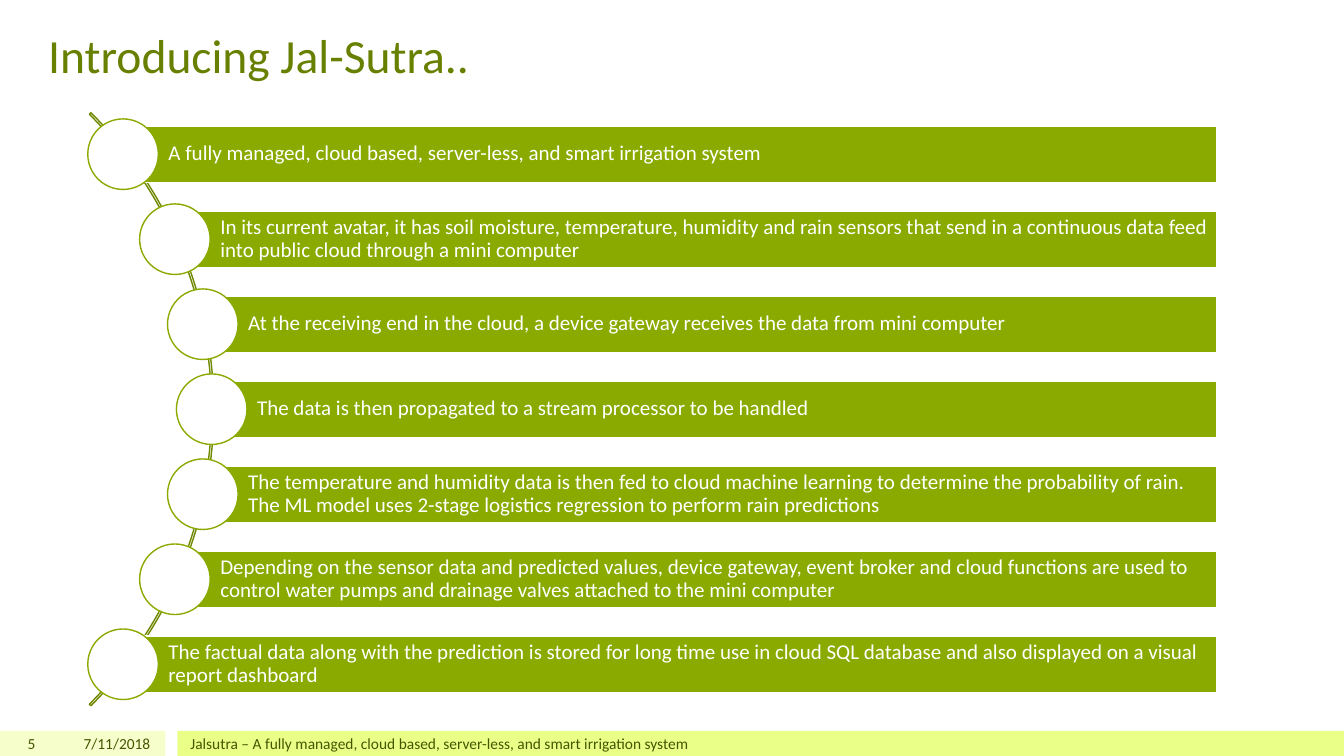
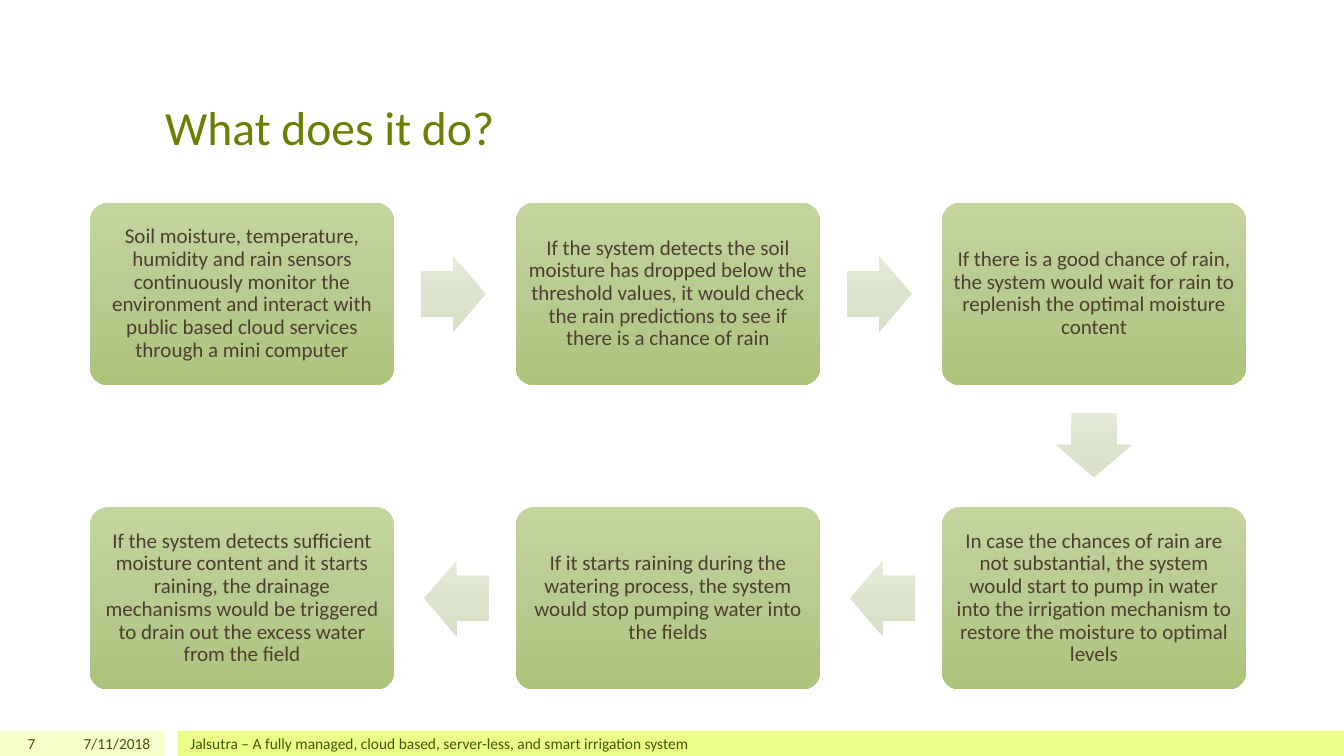
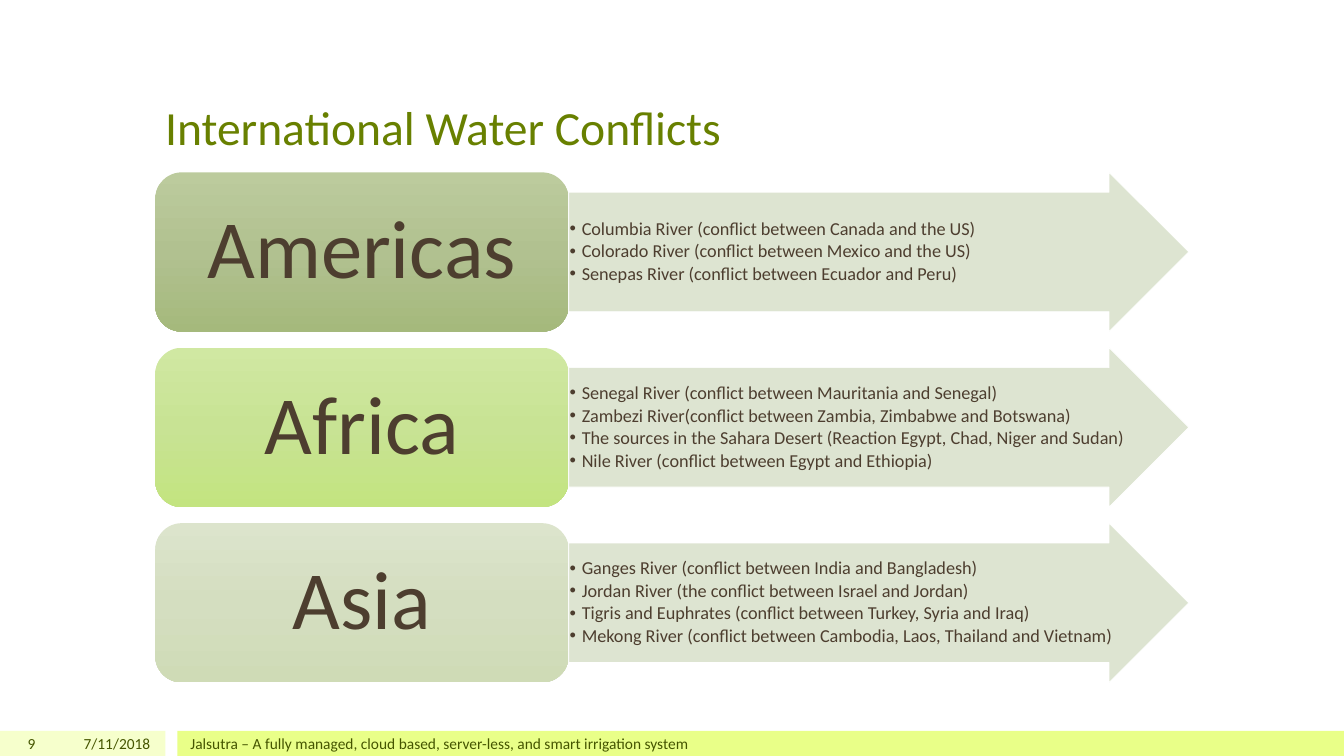
from dataclasses import dataclass
from itertools import pairwise
from math import atan2, degrees, sqrt
from typing import NamedTuple

from lxml.etree import SubElement
from pptx import Presentation
from pptx.dml.color import RGBColor
from pptx.enum.shapes import MSO_SHAPE as KIND
from pptx.enum.text import MSO_ANCHOR as ANCHOR, PP_ALIGN as ALIGN
from pptx.oxml.ns import qn
from pptx.util import Inches, Pt

WIDE, HIGH = 13.33, 7.5
HEX = {
    "white": "FFFFFF", "title": "688000", "foot": "455500", "text": "4D3E2F",
    "pale": "F6FFCC", "lime": "E9FF88", "green": "8BAA00", "arc": "6F8800",
    "arrow": "DAE2CC",
}
FADE = {
    "step": ("C3D59D", "B8CB90", "AEC47C"),
    "next": ("E5EBD9", "DCE4CE", "D8E1C7"),
    "olive": ("BCCB9D", "B1C190", "A5B97C"),
    "fresh": ("D0E8A2", "C8E394", "C3E480"),
    "sage": ("DCE4CC", "D4DEC0", "CFDBB6"),
}
FONT = {"name": "Calibri", "bold": False}
TIGHT = {"line_spacing": 0.9}
FOOTER = "Jalsutra – A fully managed, cloud based, server-less, and smart irrigation system"


class Box(NamedTuple):
    x: float
    y: float
    w: float
    h: float

    @property
    def mid(self) -> tuple[float, float]:
        return self.x + self.w / 2, self.y + self.h / 2


def around(x: float, y: float, w: float, h: float) -> Box:
    """Box centred on a point."""
    return Box(x - w / 2, y - h / 2, w, h)


@dataclass(frozen=True)
class Grid:
    first: Box
    dx: float = 0
    dy: float = 0

    def cell(self, col: int, row: int) -> Box:
        return self.first._replace(x=self.first.x + col * self.dx,
                                   y=self.first.y + row * self.dy)


@dataclass(frozen=True)
class Style:
    size: float
    color: str
    align: ALIGN = ALIGN.LEFT
    anchor: ANCHOR = ANCHOR.MIDDLE
    pad: tuple[float, float, float, float] = (0.1, 0.05, 0.1, 0.05)
    para: dict | None = None
    bullet: float = 0


@dataclass(frozen=True)
class Region:
    name: str
    fade: str
    rivers: tuple[str, ...]


TITLE = Style(34, "title", anchor=ANCHOR.BOTTOM)
NOTE = Style(11, "foot")
NUMBER = Style(11, "foot", ALIGN.RIGHT)
BAR = Style(15, "white", pad=(0.45, 0.04, 0.04, 0.04), para=TIGHT)
STEP = Style(15, "text", ALIGN.CENTER, pad=(0.06,) * 4, para=TIGHT)
NAME = Style(59, "text", ALIGN.CENTER, pad=(0.25, 0.12, 0.25, 0.12), para=TIGHT)
LIST = Style(13, "text", pad=(0.01,) * 4, para=TIGHT | {"space_after": Pt(2)}, bullet=0.12)

HEAD = Box(1.54, 0.3, 10.25, 1.29)
HIGH_HEAD = Box(0.38, 0.15, 10.25, 0.72)

FACTS = (
    "A fully managed, cloud based, server-less, and smart irrigation system",
    "In its current avatar, it has soil moisture, temperature, humidity and rain sensors that send in a continuous data feed into public cloud through a mini computer",
    "At the receiving end in the cloud, a device gateway receives the data from mini computer",
    "The data is then propagated to a stream processor to be handled",
    "The temperature and humidity data is then fed to cloud machine learning to determine the probability of rain. The ML model uses 2-stage logistics regression to perform rain predictions",
    "Depending on the sensor data and predicted values, device gateway, event broker and cloud functions are used to control water pumps and drainage valves attached to the mini computer",
    "The factual data along with the prediction is stored for long time use in cloud SQL database and also displayed on a visual report dashboard",
)
STEPS = (
    "Soil moisture, temperature, humidity and rain sensors continuously monitor the environment and interact with public based cloud services through a mini computer",
    "If the system detects the soil moisture has dropped below the threshold values, it would check the rain predictions to see if there is a chance of rain",
    "If there is a good chance of rain, the system would wait for rain to replenish the optimal moisture content",
    "In case the chances of rain are not substantial, the system would start to pump in water into the irrigation mechanism to restore the moisture to optimal levels",
    "If it starts raining during the watering process, the system would stop pumping water into the fields",
    "If the system detects sufficient moisture content and it starts raining, the drainage mechanisms would be triggered to drain out the excess water from the field",
)
REGIONS = (
    Region("Americas", "olive", (
        "Columbia River (conflict between Canada and the US)",
        "Colorado River (conflict between Mexico and the US)",
        "Senepas River (conflict between Ecuador and Peru)")),
    Region("Africa", "fresh", (
        "Senegal River (conflict between Mauritania and Senegal)",
        "Zambezi River(conflict between Zambia, Zimbabwe and Botswana)",
        "The sources in the Sahara Desert (Reaction Egypt, Chad, Niger and Sudan)",
        "Nile River (conflict between Egypt and Ethiopia)")),
    Region("Asia", "sage", (
        "Ganges River (conflict between India and Bangladesh)",
        "Jordan River (the conflict between Israel and Jordan)",
        "Tigris and Euphrates (conflict between Turkey, Syria and Iraq)",
        "Mekong River (conflict between Cambodia, Laos, Thailand and Vietnam)")),
)


def rgb(name: str) -> RGBColor:
    return RGBColor.from_string(HEX[name])


def write(shape, lines: tuple[str, ...], style: Style) -> None:
    frame = shape.text_frame
    frame.word_wrap = True
    frame.vertical_anchor = style.anchor
    for side, pad in zip(("left", "top", "right", "bottom"), style.pad):
        setattr(frame, f"margin_{side}", Inches(pad))
    for i, line in enumerate(lines):
        para = frame.paragraphs[0] if i == 0 else frame.add_paragraph()
        for key, value in ({"alignment": style.align} | (style.para or {})).items():
            setattr(para, key, value)
        if style.bullet:
            props = para._p.get_or_add_pPr()
            props.set("marL", str(Inches(style.bullet)))
            props.set("indent", str(-Inches(style.bullet)))
            SubElement(props, qn("a:buFont"), typeface="Arial")
            SubElement(props, qn("a:buChar"), char="•")
        run = para.add_run()
        run.text = line
        for key, value in (FONT | {"size": Pt(style.size)}).items():
            setattr(run.font, key, value)
        run.font.color.rgb = rgb(style.color)


def label(slide, box: Box, text: str, style: Style) -> None:
    write(slide.shapes.add_textbox(*map(Inches, box)), (text,), style)


def blend(shape, name: str) -> None:
    """Fill with a top-to-bottom gradient that ignores the shape's rotation."""
    shape.fill.gradient()
    grad = shape._element.spPr.find(qn("a:gradFill"))
    grad.clear()
    grad.set("rotWithShape", "0")
    stops = SubElement(grad, qn("a:gsLst"))
    for i, color in enumerate(FADE[name]):
        stop = SubElement(stops, qn("a:gs"), pos=str(i * 50000))
        SubElement(stop, qn("a:srgbClr"), val=color)
    SubElement(grad, qn("a:lin"), ang="5400000", scaled="0")


def draw(slide, kind: KIND, box: Box, fill: str = "", line: str = "",
         width: float = 1, adj: tuple[float, ...] = ()):
    """Add a preset shape; fill names a colour, a gradient, or nothing."""
    shape = slide.shapes.add_shape(kind, *map(Inches, box))
    shape.shadow.inherit = False
    for i, value in enumerate(adj):
        shape.adjustments[i] = value
    if fill in FADE:
        blend(shape, fill)
    elif fill:
        shape.fill.solid()
        shape.fill.fore_color.rgb = rgb(fill)
    else:
        shape.fill.background()
    if line:
        shape.line.color.rgb = rgb(line)
        shape.line.width = Pt(width)
    else:
        shape.line.fill.background()
    return shape


def start(deck, title: str, head: Box):
    slide = deck.slides.add_slide(deck.slide_layouts[6])
    for x, w, fill in ((0, 1.64, "pale"), (1.76, WIDE - 1.76, "lime")):
        draw(slide, KIND.RECTANGLE, Box(x, HIGH - 0.25, w, 0.25), fill)
    label(slide, head, title, TITLE)
    return slide


def finish(slide, number: int) -> None:
    for x, w, text, style in ((0, 0.45, str(number), NUMBER),
                              (0.5, 1.09, "7/11/2018", NUMBER),
                              (1.79, 10, FOOTER, NOTE)):
        label(slide, Box(x, HIGH - 0.25, w, 0.25), text, style)


def intro(deck) -> None:
    slide = start(deck, "Introducing Jal-Sutra..", HIGH_HEAD)
    hub, mid, reach, right = -1.98, 4.06, 4.08, 12.07
    draw(slide, KIND.BLOCK_ARC, around(-2.04, mid, 8.32, 8.32), line="arc",
         adj=(189, 27, 0.0026))
    pitch = 5.06 / (len(FACTS) - 1)
    for i, fact in enumerate(FACTS):
        drop = (i - (len(FACTS) - 1) / 2) * pitch
        x, y = hub + sqrt(reach ** 2 - drop ** 2), mid + drop
        bar = draw(slide, KIND.RECTANGLE, Box(x, y - 0.28, right - x, 0.56),
                   "green", "white")
        write(bar, (fact,), BAR)
        draw(slide, KIND.OVAL, around(x, y, 0.7, 0.7), "white", "green")


def flow(deck) -> None:
    slide = start(deck, "What does it do?", HEAD)
    grid = Grid(Box(0.89, 2.01, 3.02, 1.81), 4.225, 3.02)
    cells = [grid.cell(*at) for at in ((0, 0), (1, 0), (2, 0), (2, 1), (1, 1), (0, 1))]
    for cell, step in zip(cells, STEPS):
        write(draw(slide, KIND.ROUNDED_RECTANGLE, cell, "step", adj=(0.1,)), (step,), STEP)
    for a, b in pairwise(cells):
        (ax, ay), (bx, by) = a.mid, b.mid
        back = 0.5 - 0.004
        spot = around(ax + (bx - ax) * back, ay + (by - ay) * back, 0.64, 0.75)
        arrow = draw(slide, KIND.RIGHT_ARROW, spot, "next", adj=(0.6, 0.5))
        arrow.rotation = degrees(atan2(by - ay, bx - ax)) % 360


def rivers(deck) -> None:
    slide = start(deck, "International Water Conflicts", HEAD)
    names = Grid(Box(1.54, 1.71, 4.1, 1.58), dy=1.74)
    lists = Grid(Box(5.64, 1.71, 6.15, 1.58), dy=1.74)
    for row, region in enumerate(REGIONS):
        arrow = draw(slide, KIND.RIGHT_ARROW, lists.cell(0, row), "arrow", "white",
                     0.5, (0.75, 0.5))
        tint = arrow._element.spPr.find(qn("a:solidFill"))[0]
        SubElement(tint, qn("a:alpha"), val="90000")
        write(arrow, region.rivers, LIST)
        card = draw(slide, KIND.ROUNDED_RECTANGLE, names.cell(0, row), region.fade)
        write(card, (region.name,), NAME)


def main() -> None:
    deck = Presentation()
    deck.slide_width, deck.slide_height = Inches(WIDE), Inches(HIGH)
    for build in (intro, flow, rivers):
        build(deck)
    for slide, number in zip(deck.slides, (5, 7, 9)):
        finish(slide, number)
    deck.save("out.pptx")


if __name__ == "__main__":
    main()
